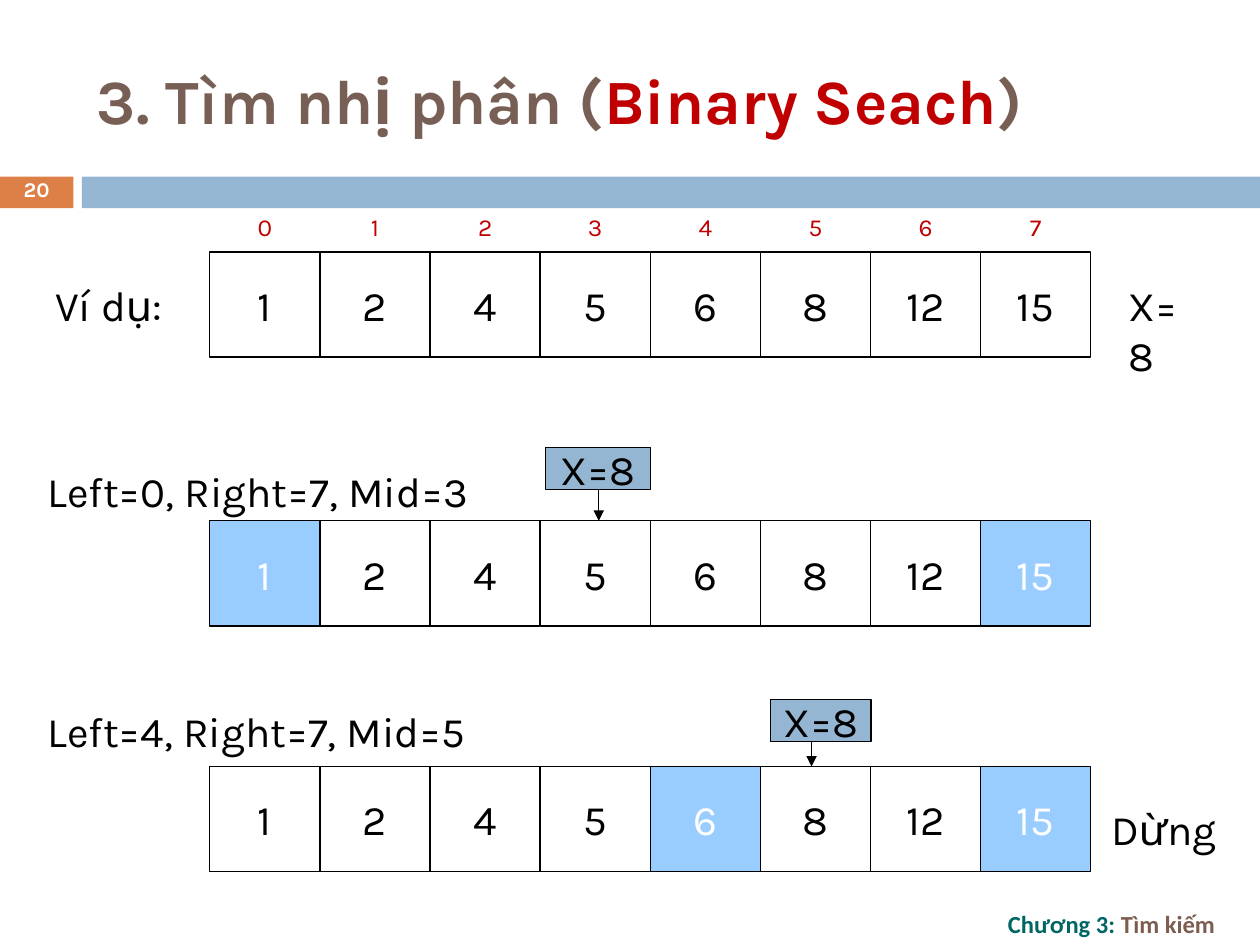
import pptx
import pptx.dml.color
import pptx.enum.shapes
import pptx.enum.text
import pptx.oxml
import pptx.oxml.ns
import pptx.util
from pptx.util import Cm

COLORS = {
    "black": "000000", "white": "FFFFFF", "red": "C00000", "title": "775F55",
    "orange": "DD8047", "bar": "94B6D2", "bound": "99CCFF",
    "chapter": "006565", "topic": "7C5D50",
}
ALIGN = pptx.enum.text.PP_ALIGN
ANCHOR = pptx.enum.text.MSO_ANCHOR
RECT = pptx.enum.shapes.MSO_SHAPE.RECTANGLE


def rgb(name):
    return pptx.dml.color.RGBColor.from_string(COLORS[name])


def write(sp, text, size=24, color="black", bold=False, font="Karla",
          align=ALIGN.LEFT, anchor=ANCHOR.MIDDLE, wrap=False, spacing=None):
    """Fill sp with one paragraph; text is a string or a list of (text, color) runs."""
    tf = sp.text_frame
    tf.word_wrap = wrap
    tf.vertical_anchor = anchor
    p = tf.paragraphs[0]
    p.alignment = align
    if spacing:
        p.line_spacing = spacing
    for part, shade in [(text, color)] if isinstance(text, str) else text:
        r = p.add_run()
        r.text = part
        r.font.name = font
        r.font.size = pptx.util.Pt(size)
        r.font.bold = bold
        r.font.color.rgb = rgb(shade)


def add_box(left, top, width, height, fill=None, line=None):
    sp = s.shapes.add_shape(RECT, Cm(left), Cm(top), Cm(width), Cm(height))
    sp.shadow.inherit = False
    if fill:
        sp.fill.solid()
        sp.fill.fore_color.rgb = rgb(fill)
    else:
        sp.fill.background()
    if line:
        sp.line.color.rgb = rgb(line)
        sp.line.width = pptx.util.Pt(0.75)
    else:
        sp.line.fill.background()
    return sp


prs = pptx.Presentation()
prs.slide_width, prs.slide_height = Cm(25.4), Cm(19.05)
s = prs.slides.add_slide(prs.slide_layouts[5])

# Header bar, slide number and footer
number = add_box(0, 3.56, 1.48, 0.64, fill="orange")
write(number, "20", size=12, color="white", bold=True, align=ALIGN.CENTER, spacing=0.7)
add_box(1.65, 3.56, 23.75, 0.64, fill="bar")
footer = s.shapes.add_textbox(Cm(20.07), Cm(18.21), Cm(5.33), Cm(0.84))
write(footer, [("Chương 3: ", "chapter"), ("Tìm kiếm", "topic")],
      size=14, bold=True, font="Calibri")

title = s.shapes.title
title.left, title.top, title.width, title.height = Cm(1.7), Cm(0.64), Cm(22.66), Cm(2.74)
write(title, [("3. Tìm nhị phân (", "title"), ("Binary Seach", "red"), (")", "title")],
      size=36, bold=True, wrap=True)

# Array rows: top edge and the indexes of the highlighted bounds
values = [1, 2, 4, 5, 6, 8, 12, 15]
array_left, cell_width, cell_height = 4.23, 2.22, 2.12
for top, bounds in [(5.08, ()), (10.5, (0, 7)), (15.45, (4, 7))]:
    for i, value in enumerate(values):
        marked = i in bounds
        cell = add_box(array_left + i * cell_width, top, cell_width, cell_height,
                       fill="bound" if marked else None, line="black")
        write(cell, str(value), color="white" if marked else "black", align=ALIGN.CENTER)

for i in range(len(values)):
    index = s.shapes.add_textbox(Cm(array_left + i * cell_width), Cm(4.25),
                                 Cm(cell_width), Cm(0.64))
    write(index, str(i), size=14, color="red", align=ALIGN.CENTER)

# Search key pointing at the middle cell
for left, top, width, arrow_x, arrow_end in [(11, 9.02, 2.12, 12.07, 10.5),
                                             (15.54, 14.1, 2.02, 16.36, 15.45)]:
    key = add_box(left, top, width, 0.85, fill="bar", line="black")
    write(key, "X=8", align=ALIGN.CENTER)
    arrow = s.shapes.add_connector(pptx.enum.shapes.MSO_CONNECTOR.STRAIGHT,
                                   Cm(arrow_x), Cm(top + 0.85), Cm(arrow_x), Cm(arrow_end))
    arrow.line.color.rgb = rgb("black")
    arrow.line.width = pptx.util.Pt(0.75)
    tail = pptx.oxml.parse_xml(f'<a:tailEnd {pptx.oxml.ns.nsdecls("a")} type="triangle"/>')
    arrow.line._get_or_add_ln().append(tail)
    arrow._element.spPr.append(
        pptx.oxml.parse_xml(f'<a:effectLst {pptx.oxml.ns.nsdecls("a")}/>'))

for text, left, top, width, wrap in [
    ("Ví dụ:", 0.86, 5.5, 2.72, False),
    ("X=8", 22.5, 5.5, 1.96, True),
    ("Left=0, Right=7, Mid=3", 0.71, 9.25, 9.42, False),
    ("Left=4, Right=7, Mid=5", 0.71, 14.1, 9.42, False),
    ("Dừng", 22.15, 16.08, 2.74, False),
]:
    label = s.shapes.add_textbox(Cm(left), Cm(top), Cm(width), Cm(1.27))
    write(label, text, anchor=ANCHOR.TOP, wrap=wrap)

prs.save("out.pptx")
